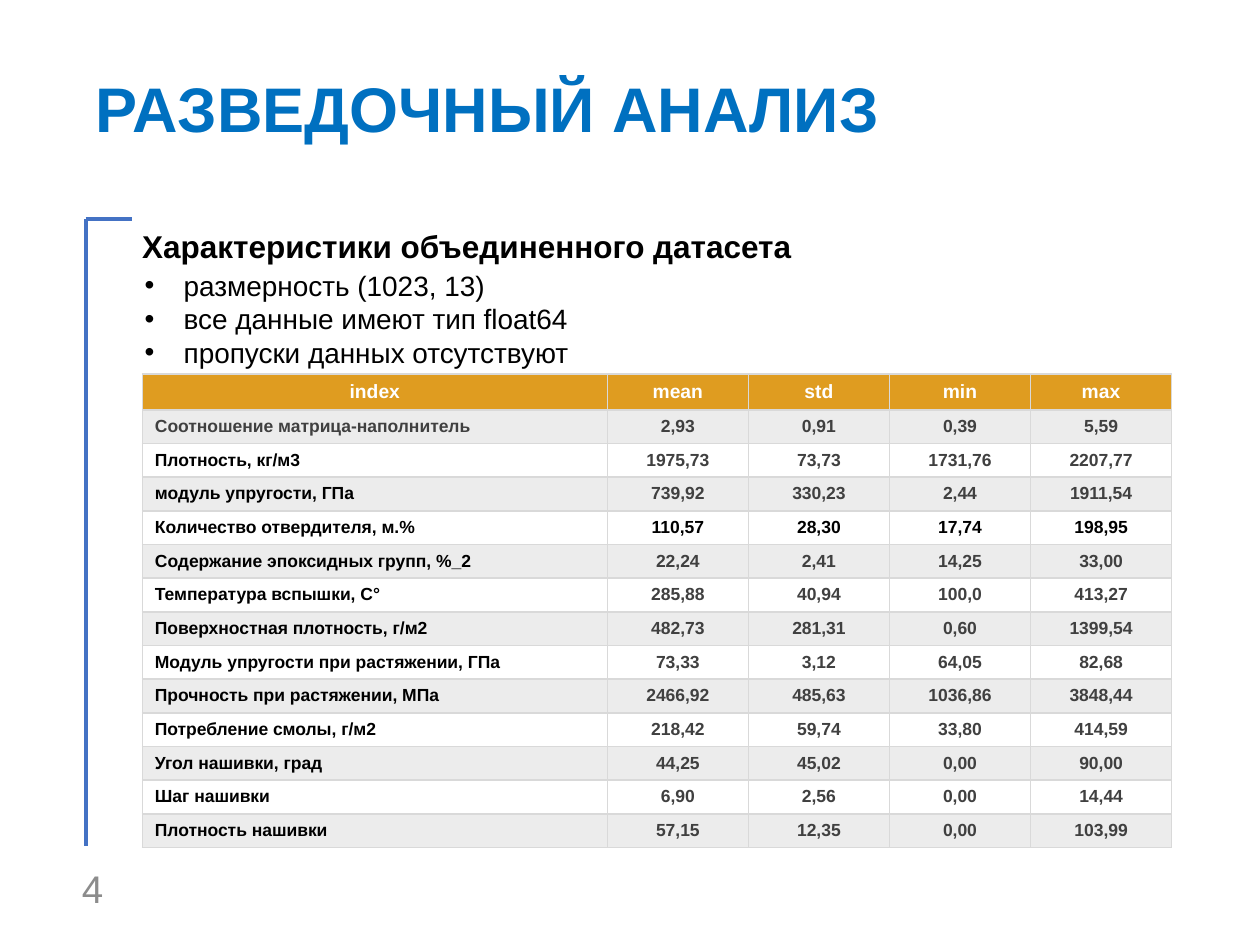
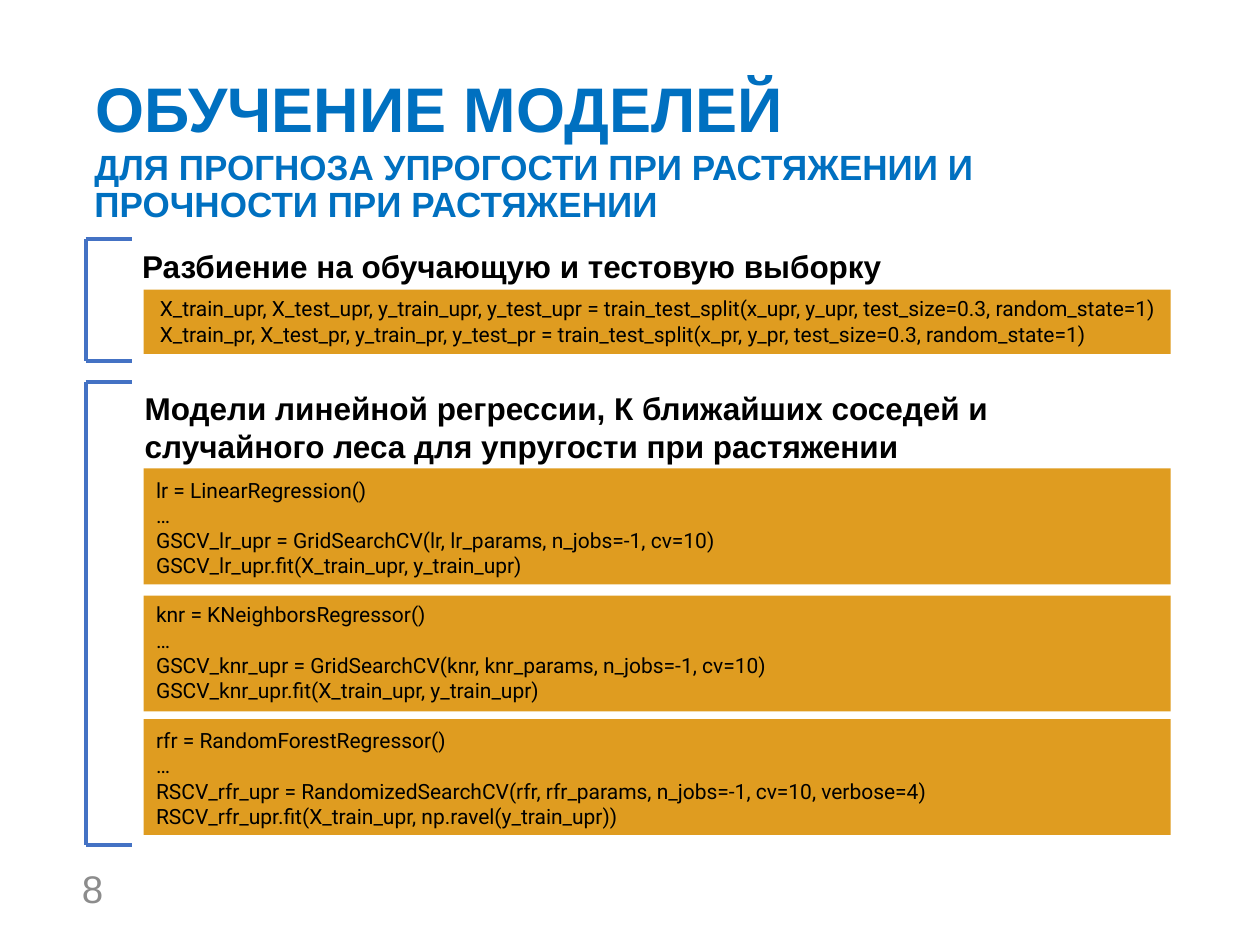
from lxml import etree
from pptx import Presentation
from pptx.dml.color import RGBColor
from pptx.enum import shapes, text
from pptx.oxml import ns
from pptx.util import Inches, Pt

BLUE, EDGE, GOLD = "0070C0", "4472C4", "DF9C20"
BLACK, DARK, GRAY = "000000", "404040", "8C8C8C"
WHITE, PALE, RULE = "FFFFFF", "ECECEC", "D9D9D9"
hue = RGBColor.from_string


def write(frame, words, size=18, color=BLACK, font="Arial", bold=False, align="LEFT",
          anchor="TOP", space=None, bullet=False):
    frame.word_wrap = True
    frame.vertical_anchor = getattr(text.MSO_ANCHOR, anchor)
    for i, line in enumerate(words.split("\n")):
        para = frame.paragraphs[0] if i == 0 else frame.add_paragraph()
        para.alignment = getattr(text.PP_ALIGN, align)
        if space:
            para.line_spacing = space
        if bullet:
            props = para._p.get_or_add_pPr()
            props.set("marL", str(Inches(0.31)))
            props.set("indent", str(-Inches(0.31)))
            etree.SubElement(props, ns.qn("a:buFont")).set("typeface", "Arial")
            etree.SubElement(props, ns.qn("a:buChar")).set("char", "•")
        run = para.add_run()
        run.text = line
        run.font.size = Pt(size)
        run.font.name = font
        run.font.bold = bold
        run.font.color.rgb = hue(color)


def box(slide, at, words, pad=(0.1, 0.05), **style):
    frame = slide.shapes.add_textbox(*map(Inches, at)).text_frame
    frame.margin_left = frame.margin_right = Inches(pad[0])
    frame.margin_top = frame.margin_bottom = Inches(pad[1])
    write(frame, words, **style)


deck = Presentation()
deck.slide_width, deck.slide_height = Inches(10), Inches(7.48)
tight = (0.08, 0.04)
left, arm = 0.68, 1.05

pages = [
    ("РАЗВЕДОЧНЫЙ АНАЛИЗ", "4", [(1.74, 6.72, False)]),
    ("ОБУЧЕНИЕ МОДЕЛЕЙ", "8", [(1.9, 2.87, True), (3.03, 6.71, True)]),
]
slides = []
for title, number, braces in pages:
    slide = deck.slides.add_slide(deck.slide_layouts[6])
    slides.append(slide)
    box(slide, (0.57, 6.85, 0.66, 0.4), number, tight, size=22, color=GRAY, anchor="MIDDLE")
    box(slide, (0.68, 0.52, 8.63, 0.68), title, tight, size=36, color=BLUE, bold=True,
        anchor="BOTTOM", space=0.9)
    for top, base, closed in braces:
        ends = [(left, top, left, base), (left, top, arm, top)]
        if closed:
            ends.append((left, base, arm, base))
        for end in ends:
            line = slide.shapes.add_connector(shapes.MSO_CONNECTOR.STRAIGHT, *map(Inches, end))
            line.line.color.rgb = hue(EDGE)
            line.line.width = Pt(2.25)
            etree.SubElement(line._element.spPr, ns.qn("a:effectLst"))

data, train = slides

rows = [
    ("index", "mean", "std", "min", "max"),
    ("Соотношение матрица-наполнитель", "2,93", "0,91", "0,39", "5,59"),
    ("Плотность, кг/м3", "1975,73", "73,73", "1731,76", "2207,77"),
    ("модуль упругости, ГПа", "739,92", "330,23", "2,44", "1911,54"),
    ("Количество отвердителя, м.%", "110,57", "28,30", "17,74", "198,95"),
    ("Содержание эпоксидных групп, %_2", "22,24", "2,41", "14,25", "33,00"),
    ("Температура вспышки, С°", "285,88", "40,94", "100,0", "413,27"),
    ("Поверхностная плотность, г/м2", "482,73", "281,31", "0,60", "1399,54"),
    ("Модуль упругости при растяжении, ГПа", "73,33", "3,12", "64,05", "82,68"),
    ("Прочность при растяжении, МПа", "2466,92", "485,63", "1036,86", "3848,44"),
    ("Потребление смолы, г/м2", "218,42", "59,74", "33,80", "414,59"),
    ("Угол нашивки, град", "44,25", "45,02", "0,00", "90,00"),
    ("Шаг нашивки", "6,90", "2,56", "0,00", "14,44"),
    ("Плотность нашивки", "57,15", "12,35", "0,00", "103,99"),
]
place = map(Inches, (1.13, 2.97, 8.17, 0.24 * len(rows)))
grid = data.shapes.add_table(len(rows), len(rows[0]), *place).table
for c, col in enumerate(grid.columns):
    col.width = Inches(1.12 if c else 3.69)
for r, row in enumerate(rows):
    grid.rows[r].height = Inches(0.24)
    for c, value in enumerate(row):
        cell = grid.cell(r, c)
        if r == 0:
            color, fill = WHITE, GOLD
        else:
            dark = r == 1 or (c > 0 and r != 4)
            color, fill = DARK if dark else BLACK, PALE if r % 2 else WHITE
        if c == 0 and r > 1:
            cell.margin_top = cell.margin_bottom = Inches(0.02)
        cell.vertical_anchor = text.MSO_ANCHOR.MIDDLE
        write(cell.text_frame, value, size=10 if r else 11, color=color, bold=True,
              align="CENTER" if c or r == 0 else "LEFT", anchor="MIDDLE")
        props = cell._tc.get_or_add_tcPr()
        for side in ("lnL", "lnR", "lnT", "lnB"):
            edge = etree.SubElement(props, ns.qn("a:" + side), w=str(Pt(1)))
            solid = etree.SubElement(edge, ns.qn("a:solidFill"))
            etree.SubElement(solid, ns.qn("a:srgbClr"), val=RULE)
        cell.fill.solid()
        cell.fill.fore_color.rgb = hue(fill)

box(data, (1.03, 1.75, 5.61, 0.4), "Характеристики объединенного датасета", bold=True)
box(data, (1.05, 2.08, 8.26, 0.91),
    "размерность (1023, 13)\nвсе данные имеют тип float64\nпропуски данных отсутствуют",
    size=16, bullet=True)

box(train, (0.67, 1.15, 8.63, 0.68),
    "ДЛЯ ПРОГНОЗА УПРОГОСТИ ПРИ РАСТЯЖЕНИИ И ПРОЧНОСТИ ПРИ РАСТЯЖЕНИИ", tight,
    size=20, color=BLUE, bold=True, anchor="BOTTOM", space=0.9)
box(train, (1.03, 1.91, 6.43, 0.4), "Разбиение на обучающую и тестовую выборку", bold=True)
box(train, (1.05, 3.04, 8.23, 0.71),
    "Модели линейной регрессии, К ближайших соседей и случайного леса для упругости при растяжении",
    bold=True)

codes = [
    (2.3, 0.51, 1.17, 2.3, """\
X_train_upr, X_test_upr, y_train_upr, y_test_upr = train_test_split(x_upr, y_upr, test_size=0.3, random_state=1)
X_train_pr, X_test_pr, y_train_pr, y_test_pr = train_test_split(x_pr, y_pr, test_size=0.3, random_state=1)"""),
    (3.72, 0.92, 1.14, 3.74, """\
lr = LinearRegression()
…
GSCV_lr_upr = GridSearchCV(lr, lr_params, n_jobs=-1, cv=10)
GSCV_lr_upr.fit(X_train_upr, y_train_upr)"""),
    (4.73, 0.92, 1.14, 4.73, """\
knr = KNeighborsRegressor()
…
GSCV_knr_upr = GridSearchCV(knr, knr_params, n_jobs=-1, cv=10)
GSCV_knr_upr.fit(X_train_upr, y_train_upr)"""),
    (5.71, 0.92, 1.14, 5.73, """\
rfr = RandomForestRegressor()
…
RSCV_rfr_upr = RandomizedSearchCV(rfr, rfr_params, n_jobs=-1, cv=10, verbose=4)
RSCV_rfr_upr.fit(X_train_upr, np.ravel(y_train_upr))"""),
]
for top, high, x, y, code in codes:
    band = train.shapes.add_shape(shapes.MSO_SHAPE.RECTANGLE,
                                  *map(Inches, (1.14, top, 8.15, high)))
    band.shadow.inherit = False
    band.fill.solid()
    band.fill.fore_color.rgb = hue(GOLD)
    band.line.fill.background()
    box(train, (x, y, 8.2, high), code, size=12, font="Roboto")

deck.save("out.pptx")
